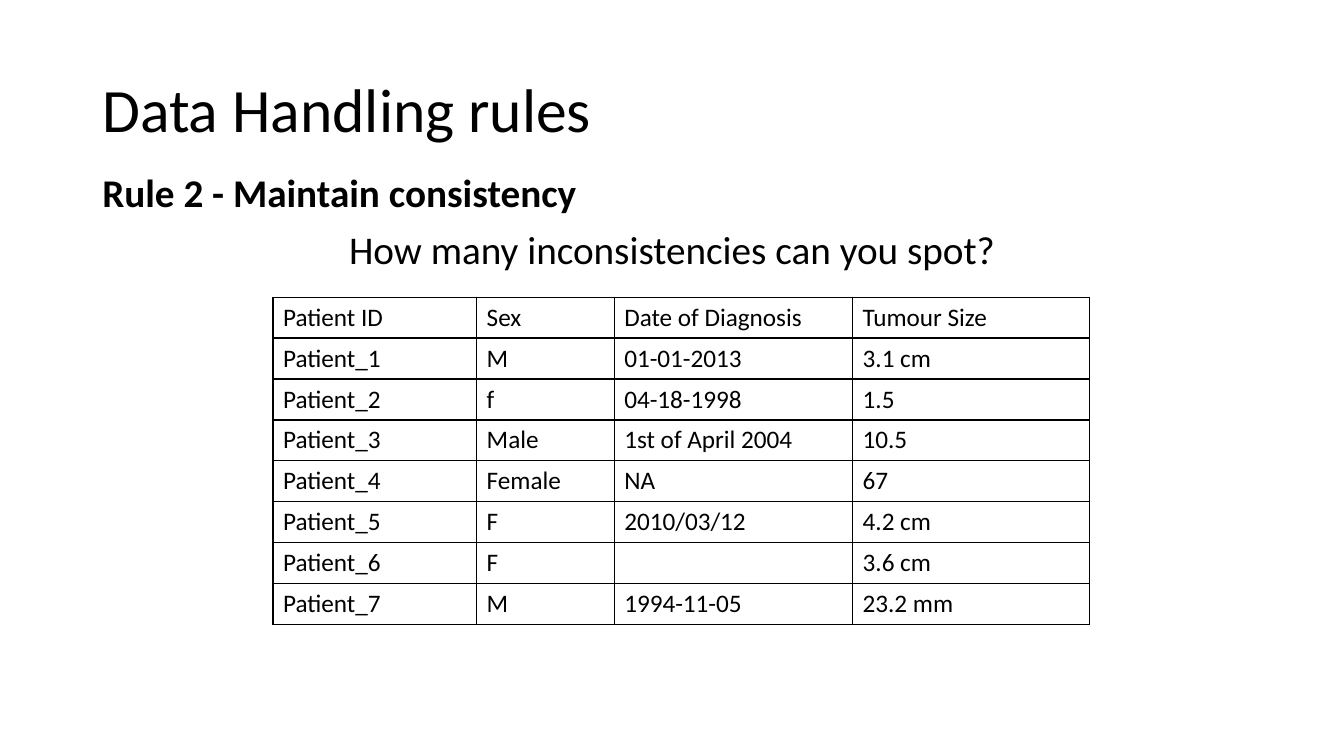
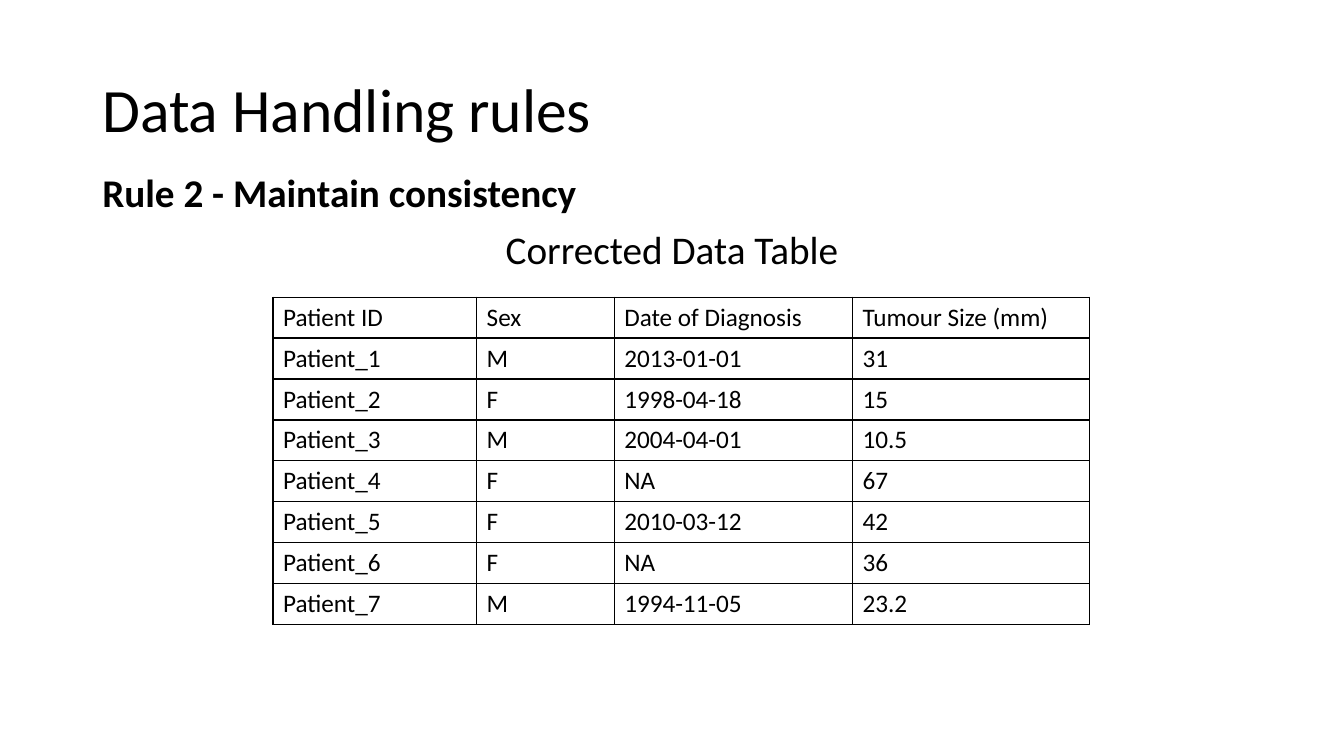
from dataclasses import dataclass

from lxml.etree import SubElement
from pptx import Presentation
from pptx.dml.color import RGBColor
from pptx.enum.text import MSO_ANCHOR, PP_ALIGN
from pptx.oxml.ns import qn
from pptx.slide import Slide
from pptx.table import _Cell
from pptx.text.text import TextFrame, _Paragraph
from pptx.util import Emu, Pt

EMU_PER_PX = 9525
FONT = "Calibri"
INK = "000000"
PAPER = "FFFFFF"
TITLE = "Data Handling rules"
RULE = "Rule 2 - Maintain consistency"
COLUMN_WIDTHS = (194, 131, 227, 226)
ROW_HEIGHT = 39


@dataclass(frozen=True)
class Box:
    left: int
    top: int
    width: int
    height: int


@dataclass(frozen=True)
class RuleSlide:
    caption: str
    size_heading: str
    patients: tuple[tuple[str, str, str], ...]


TITLE_BOX = Box(88, 38, 1104, 139)
BODY_BOX = Box(88, 161, 1104, 457)
TABLE_LEFT, TABLE_TOP = 260, 283

RULE_SLIDES = (
    RuleSlide("How many inconsistencies can you spot?", "Tumour Size", (
        ("M", "01-01-2013", "3.1 cm"),
        ("f", "04-18-1998", "1.5"),
        ("Male", "1st of April 2004", "10.5"),
        ("Female", "NA", "67"),
        ("F", "2010/03/12", "4.2 cm"),
        ("F", "", "3.6 cm"),
        ("M", "1994-11-05", "23.2 mm"),
    )),
    RuleSlide("Corrected Data Table", "Tumour Size (mm)", (
        ("M", "2013-01-01", "31"),
        ("F", "1998-04-18", "15"),
        ("M", "2004-04-01", "10.5"),
        ("F", "NA", "67"),
        ("F", "2010-03-12", "42"),
        ("F", "NA", "36"),
        ("M", "1994-11-05", "23.2"),
    )),
)


def px(length: int) -> Emu:
    return Emu(length * EMU_PER_PX)


def colour(value: str) -> RGBColor:
    return RGBColor.from_string(value)


def write(paragraph: _Paragraph, text: str, *, size: int, bold: bool = False,
          align: PP_ALIGN = PP_ALIGN.LEFT, line_spacing: float = 1.0,
          space_before: int = 0) -> None:
    paragraph.alignment = align
    paragraph.line_spacing = line_spacing
    paragraph.space_before = Pt(space_before)
    paragraph.font.size = Pt(size)
    if text:
        run = paragraph.add_run()
        run.text = text
        run.font.name = FONT
        run.font.size = Pt(size)
        run.font.bold = bold
        run.font.color.rgb = colour(INK)


def add_text_area(slide: Slide, box: Box, anchor: MSO_ANCHOR) -> TextFrame:
    area = slide.shapes.add_textbox(
        px(box.left), px(box.top), px(box.width), px(box.height))
    frame = area.text_frame
    frame.word_wrap = True
    frame.vertical_anchor = anchor
    return frame


def add_borders(cell: _Cell) -> None:
    properties = cell._tc.get_or_add_tcPr()
    for position, side in enumerate(("a:lnL", "a:lnR", "a:lnT", "a:lnB")):
        line = SubElement(properties, qn(side), w=str(Pt(1)))
        fill = SubElement(line, qn("a:solidFill"))
        SubElement(fill, qn("a:srgbClr"), val=INK)
        properties.insert(position, line)


def add_patient_table(slide: Slide, content: RuleSlide) -> None:
    rows = [("Patient ID", "Sex", "Date of Diagnosis", content.size_heading)]
    rows += [(f"Patient_{number}", *patient)
             for number, patient in enumerate(content.patients, start=1)]
    table = slide.shapes.add_table(
        len(rows), len(COLUMN_WIDTHS), px(TABLE_LEFT), px(TABLE_TOP),
        px(sum(COLUMN_WIDTHS)), px(ROW_HEIGHT * len(rows))).table
    table.first_row = False
    table.horz_banding = False
    for column, width in zip(table.columns, COLUMN_WIDTHS):
        column.width = px(width)
    for table_row, values in zip(table.rows, rows):
        table_row.height = px(ROW_HEIGHT)
        for cell, value in zip(table_row.cells, values):
            cell.vertical_anchor = MSO_ANCHOR.MIDDLE
            cell.fill.background()
            add_borders(cell)
            write(cell.text_frame.paragraphs[0], value, size=18)


def add_rule_slide(presentation: Presentation, content: RuleSlide) -> None:
    slide = presentation.slides.add_slide(presentation.slide_layouts[6])
    slide.background.fill.solid()
    slide.background.fill.fore_color.rgb = colour(PAPER)
    title = add_text_area(slide, TITLE_BOX, MSO_ANCHOR.MIDDLE)
    write(title.paragraphs[0], TITLE, size=44, line_spacing=0.9)
    body = add_text_area(slide, BODY_BOX, MSO_ANCHOR.TOP)
    write(body.paragraphs[0], RULE, size=28, bold=True,
          line_spacing=0.9, space_before=10)
    write(body.add_paragraph(), content.caption, size=28,
          align=PP_ALIGN.CENTER, line_spacing=0.9, space_before=10)
    add_patient_table(slide, content)


def main() -> None:
    presentation = Presentation()
    presentation.slide_width = px(1280)
    presentation.slide_height = px(720)
    for content in RULE_SLIDES:
        add_rule_slide(presentation, content)
    presentation.save("out.pptx")


if __name__ == "__main__":
    main()
